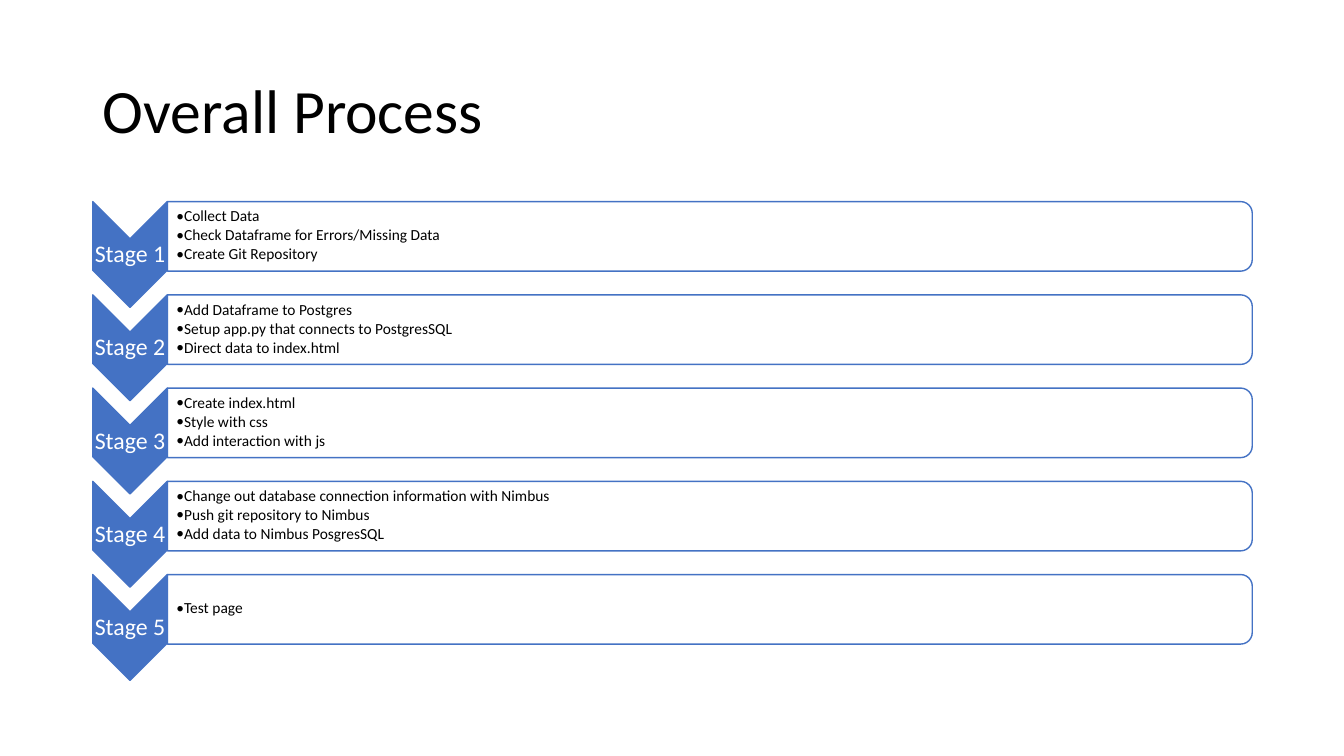
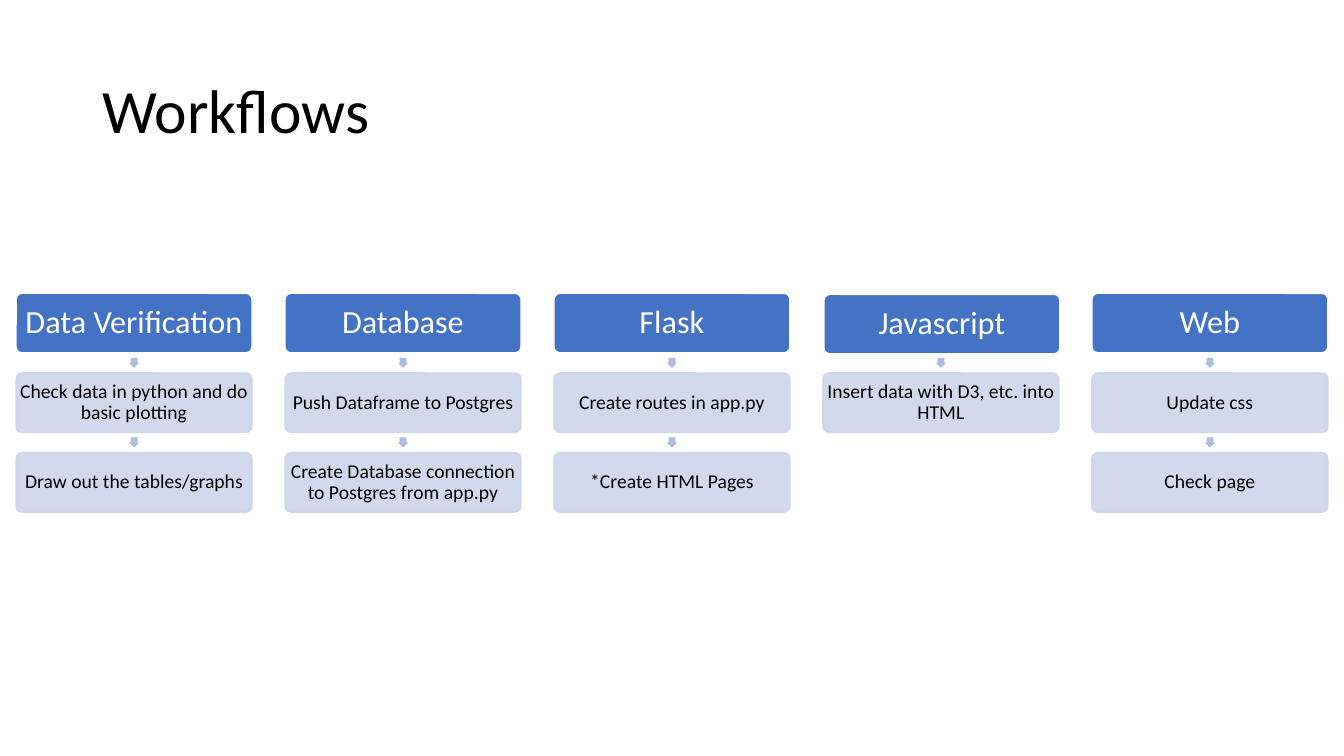
"""Build two slides: a staged process and five parallel workflows."""
from dataclasses import dataclass

from lxml.etree import SubElement
from pptx import Presentation
from pptx.dml.color import RGBColor
from pptx.dml.fill import FillFormat
from pptx.enum.shapes import MSO_SHAPE
from pptx.enum.text import MSO_ANCHOR, PP_ALIGN
from pptx.oxml.ns import qn
from pptx.shapes.autoshape import Shape
from pptx.slide import Slide
from pptx.text.text import TextFrame
from pptx.util import Inches, Pt

BLUE, PALE, MID = "4472C4", "CFD5EA", "B0BCDE"
WHITE, BLACK = "FFFFFF", "000000"
FONT = "Calibri"


@dataclass(frozen=True)
class Box:
    left: float
    top: float
    width: float
    height: float

    def turned(self) -> "Box":
        shift = (self.width - self.height) / 2
        return Box(self.left + shift, self.top - shift, self.height, self.width)

    def emu(self) -> list[int]:
        return [Inches(n) for n in (self.left, self.top, self.width, self.height)]


@dataclass(frozen=True)
class Style:
    size: float
    color: str
    align: PP_ALIGN = PP_ALIGN.CENTER
    inset: float = 0.01
    start: float = 0.01
    bullet: bool = False


@dataclass(frozen=True)
class Stage:
    name: str
    tasks: tuple[str, ...]


@dataclass(frozen=True)
class Flow:
    name: str
    steps: tuple[str, ...]
    nudge: float = 0


LABEL = Style(17, WHITE)
TASK = Style(11, BLACK, PP_ALIGN.LEFT, start=0.09, bullet=True)
HEAD = Style(23, WHITE, inset=0.03, start=0.03)
STEP = Style(14, BLACK, inset=0.02, start=0.02)
TITLE = Style(44, BLACK, PP_ALIGN.LEFT, inset=0.1, start=0.1)

STAGES = (
    Stage("Stage 1", ("Collect Data", "Check Dataframe for Errors/Missing Data",
                      "Create Git Repository")),
    Stage("Stage 2", ("Add Dataframe to Postgres",
                      "Setup app.py that connects to PostgresSQL",
                      "Direct data to index.html")),
    Stage("Stage 3", ("Create index.html", "Style with css",
                      "Add interaction with js")),
    Stage("Stage 4", ("Change out database connection information with Nimbus",
                      "Push git repository to Nimbus",
                      "Add data to Nimbus PosgresSQL")),
    Stage("Stage 5", ("Test page",)),
)

FLOWS = (
    Flow("Data Verification", ("Check data in python and do basic plotting",
                               "Draw out the tables/graphs")),
    Flow("Database", ("Push Dataframe to Postgres",
                      "Create Database connection to Postgres from app.py")),
    Flow("Flask", ("Create routes in app.py", "*Create HTML Pages")),
    Flow("Javascript", ("Insert data with D3, etc. into HTML",), nudge=0.01),
    Flow("Web", ("Update css", "Check page")),
)


def paint(fill: FillFormat, color: str, alpha: int = 100) -> None:
    fill.solid()
    fill.fore_color.rgb = RGBColor.from_string(color)
    if alpha < 100:
        tint = fill._xPr.find(f"{qn('a:solidFill')}/{qn('a:srgbClr')}")
        SubElement(tint, qn("a:alpha")).set("val", str(alpha * 1000))


def write(frame: TextFrame, lines: tuple[str, ...], style: Style) -> None:
    frame.word_wrap = True
    frame.vertical_anchor = MSO_ANCHOR.MIDDLE
    frame.margin_left = Inches(style.start)
    frame.margin_right = Inches(style.inset)
    frame.margin_top = frame.margin_bottom = Inches(min(style.inset, 0.05))
    for i, line in enumerate(lines):
        para = frame.add_paragraph() if i else frame.paragraphs[0]
        para.text = line
        para.alignment = style.align
        para.line_spacing = 0.9
        para.font.name = FONT
        para.font.size = Pt(style.size)
        para.font.color.rgb = RGBColor.from_string(style.color)
        if style.bullet:
            para.level = 1
            para.space_after = Pt(style.size * 0.15)
            props = para._p.get_or_add_pPr()
            props.set("marL", str(Inches(0.06)))
            props.set("indent", str(-Inches(0.06)))
            for tag, key, value in (("a:buFont", "typeface", FONT),
                                    ("a:buChar", "char", "•")):
                mark = props.makeelement(qn(tag), {key: value})
                props.insert_element_before(mark, "a:tabLst", "a:defRPr", "a:extLst")


def add_text(slide: Slide, box: Box, lines: tuple[str, ...], style: Style) -> None:
    write(slide.shapes.add_textbox(*box.emu()).text_frame, lines, style)


def add_form(slide: Slide, kind: MSO_SHAPE, box: Box, fill: str,
             line: str | None = None, alpha: int = 100, edge: int = 100,
             turn: bool = False) -> Shape:
    frame = box.turned() if turn else box
    form = slide.shapes.add_shape(kind, *frame.emu())
    form.rotation = 90 if turn else 0
    form.shadow.inherit = False
    paint(form.fill, fill, alpha)
    if line:
        form.line.width = Pt(1)
        paint(form.line.fill, line, edge)
    else:
        form.line.fill.background()
    return form


def add_slide(deck: Presentation, title: str) -> Slide:
    slide = deck.slides.add_slide(deck.slide_layouts[6])
    add_text(slide, Box(0.92, 0.4, 11.5, 1.45), (title,), TITLE)
    return slide


def draw_stage(slide: Slide, stage: Stage, top: float) -> None:
    add_form(slide, MSO_SHAPE.CHEVRON, Box(0.92, top, 0.74, 1.05),
             BLUE, BLUE, turn=True)
    add_text(slide, Box(0.92, top + 0.37, 0.74, 0.32), (stage.name,), LABEL)
    add_form(slide, MSO_SHAPE.ROUND_2_SAME_RECTANGLE, Box(1.66, top, 10.76, 0.69),
             WHITE, BLUE, alpha=90, turn=True)
    add_text(slide, Box(1.66, top + 0.03, 10.73, 0.62), stage.tasks, TASK)


def draw_flow(slide: Slide, flow: Flow, left: float) -> None:
    for row, text in enumerate((flow.name, *flow.steps)):
        top = 2.91 + row * 0.79
        if row:
            arrow = add_form(slide, MSO_SHAPE.RIGHT_ARROW,
                             Box(left + 1.12, top - 0.15, 0.1, 0.1), MID, turn=True)
            arrow.adjustments[0] = 0.67
            card = add_form(slide, MSO_SHAPE.ROUNDED_RECTANGLE,
                            Box(left, top, 2.34, 0.59), PALE, PALE,
                            alpha=90, edge=90)
        else:
            box = Box(left + flow.nudge, top + flow.nudge, 2.34, 0.59)
            card = add_form(slide, MSO_SHAPE.ROUNDED_RECTANGLE, box, BLUE, WHITE)
        card.adjustments[0] = 0.1
        write(card.text_frame, (text,), STEP if row else HEAD)


def main() -> None:
    deck = Presentation()
    deck.slide_width, deck.slide_height = Inches(13.33), Inches(7.5)
    slide = add_slide(deck, "Overall Process")
    for i, stage in enumerate(STAGES):
        draw_stage(slide, stage, 2 + i * 3.7 / 4)
    slide = add_slide(deck, "Workflows")
    for i, flow in enumerate(FLOWS):
        draw_flow(slide, flow, 0.16 + i * 10.67 / 4)
    deck.save("out.pptx")


if __name__ == "__main__":
    main()
